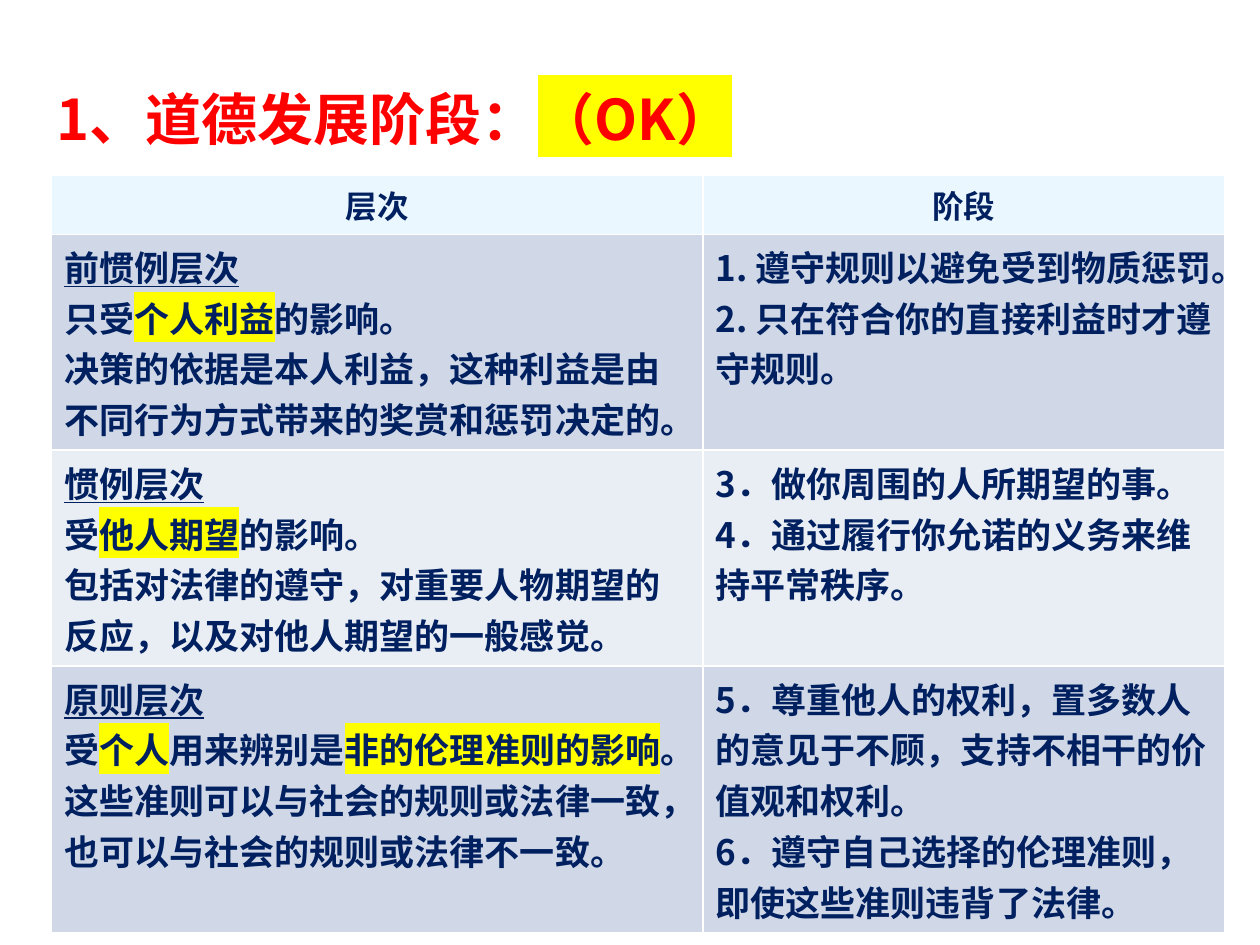
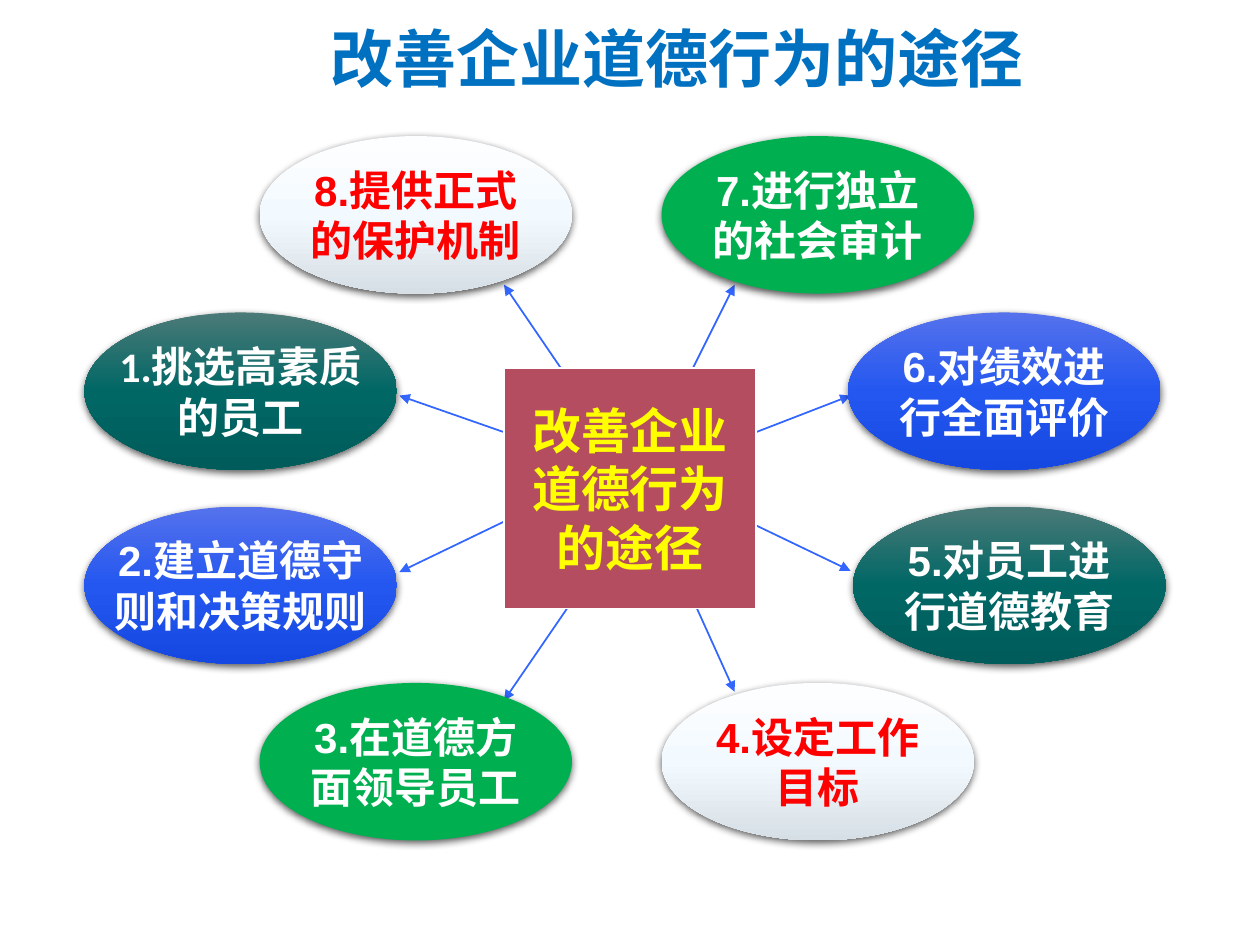
from lxml.etree import SubElement
from pptx import Presentation
from pptx.dml.color import RGBColor
from pptx.enum.shapes import MSO_CONNECTOR, MSO_SHAPE
from pptx.enum.text import MSO_ANCHOR, MSO_AUTO_SIZE, PP_ALIGN
from pptx.oxml.ns import qn
from pptx.util import Inches, Pt

# Shared style
CJK, LATIN, BODY = "Noto Sans CJK SC", "Arial", "Calibri"
RED, WHITE, YELLOW, NAVY = "FF0000", "FFFFFF", "FFFF00", "002060"
TITLE_BLUE, ARROW_BLUE, CENTRE_RED, GREEN = "0070C0", "3366FF", "B54D61", "00B050"
ICE = ("FDFEFF", "F3FAFF", "D6DFE5")
TEAL = ("4B7A78", "006765", "005C5A")
ROYAL = ("5572EC", "2457F0", "1548E0")
HEADER_FILL, BAND_FILLS = "EBF7FF", ("D0D8E8", "E9EDF4")
TITLE_ONLY = 5


def rgb(hex_colour):
    return RGBColor.from_string(hex_colour)


def grid(*units):
    """Grid of 100 columns by 75 rows, with square cells."""
    return [Inches(unit / 10) for unit in units]


class Deck:
    def __init__(self):
        self.deck = Presentation()
        self.deck.slide_width, self.deck.slide_height = grid(100, 75)
        self.slide = None

    def new_slide(self):
        self.slide = self.deck.slides.add_slide(self.deck.slide_layouts[TITLE_ONLY])

    def add_text(self, paragraph, text, size, colour, latin=CJK, east=CJK, marks=""):
        """Marks: u underlines the run, h highlights it."""
        run = paragraph.add_run()
        run.text = text
        font = run.font
        font.size, font.bold, font.name = Pt(size), True, latin
        font.color.rgb = rgb(colour)
        if "u" in marks:
            font.underline = True
        properties = run._r.get_or_add_rPr()
        east_font = SubElement(properties, qn("a:ea"), typeface=east)
        properties.find(qn("a:latin")).addnext(east_font)
        if "h" in marks:
            highlight = SubElement(properties, qn("a:highlight"))
            SubElement(highlight, qn("a:srgbClr"), val=YELLOW)
            properties.find(qn("a:solidFill")).addnext(highlight)

    def add_paragraphs(self, frame, paragraphs, size, colour, align=PP_ALIGN.LEFT, **fonts):
        """Each paragraph is a list of (text, marks) runs."""
        for number, runs in enumerate(paragraphs):
            paragraph = frame.add_paragraph() if number else frame.paragraphs[0]
            paragraph.alignment = align
            for text, marks in runs:
                self.add_text(paragraph, text, size, colour, marks=marks, **fonts)

    def title(self, box, runs, size, colour, align, margin, hanging):
        title = self.slide.shapes.title
        title.left, title.top, title.width, title.height = grid(*box)
        frame = title.text_frame
        frame.auto_size = MSO_AUTO_SIZE.NONE
        frame.word_wrap = True
        frame.vertical_anchor = MSO_ANCHOR.TOP
        self.add_paragraphs(frame, [runs], size, colour, align)
        paragraph = frame.paragraphs[0]
        paragraph.line_spacing = 0.9
        properties = paragraph._p.get_or_add_pPr()
        properties.set("marL", str(Inches(margin)))
        properties.set("indent", str(Inches(-hanging)))

    def table(self, box, columns, rows, headings, levels):
        table = self.slide.shapes.add_table(len(rows), len(columns), *grid(*box)).table
        for column, width in zip(table.columns, grid(*columns)):
            column.width = width
        for row, height in zip(table.rows, grid(*rows)):
            row.height = height
        for index, heading in enumerate(headings):
            cell = table.cell(0, index)
            self.fill(cell, HEADER_FILL)
            self.add_paragraphs(cell.text_frame, [[(heading, "")]], 18, NAVY,
                                PP_ALIGN.CENTER, latin=LATIN)
        for level_number, level in enumerate(levels):
            for index, paragraphs in enumerate(level):
                cell = table.cell(level_number + 1, index)
                self.fill(cell, BAND_FILLS[level_number % 2])
                self.add_paragraphs(cell.text_frame, paragraphs, 20, NAVY)

    def fill(self, item, colour):
        """A tuple of colours makes a gradient from top to bottom."""
        if isinstance(colour, str):
            item.fill.solid()
            item.fill.fore_color.rgb = rgb(colour)
            return
        item.fill.gradient()
        item.fill.gradient_angle = 270
        stops = next(item._element.iter(qn("a:gsLst")))
        stops.clear()
        for number, stop_colour in enumerate(colour):
            stop = SubElement(stops, qn("a:gs"), pos=str(number * 50000))
            SubElement(stop, qn("a:srgbClr"), val=stop_colour)

    def block(self, kind, box, lines, colour, size, text_colour, latin, outline=None):
        block = self.slide.shapes.add_shape(kind, *grid(*box))
        self.fill(block, colour)
        if outline:
            block.line.color.rgb = rgb(outline)
            block.line.width = Pt(0.75)
        else:
            block.line.fill.background()
        block.shadow.inherit = False
        frame = block.text_frame
        frame.word_wrap = False
        frame.vertical_anchor = MSO_ANCHOR.MIDDLE
        self.add_paragraphs(frame, [[(line, "")] for line in lines], size, text_colour,
                            PP_ALIGN.CENTER, latin=latin, east=BODY)
        return block

    def oval(self, *details):
        oval = self.block(MSO_SHAPE.OVAL, *details)
        effects = oval._element.spPr.find(qn("a:effectLst"))
        shadow = SubElement(effects, qn("a:outerShdw"), blurRad=str(Pt(4.5)),
                            dist=str(Pt(1.5)), dir="5400000", rotWithShape="0")
        shade = SubElement(shadow, qn("a:srgbClr"), val="000000")
        SubElement(shade, qn("a:alpha"), val="63000")

    def arrow(self, start, end):
        arrow = self.slide.shapes.add_connector(MSO_CONNECTOR.STRAIGHT, *grid(*start, *end))
        arrow.line.color.rgb = rgb(ARROW_BLUE)
        arrow.line.width = Pt(1)
        properties = arrow._element.spPr
        SubElement(properties.find(qn("a:ln")), qn("a:tailEnd"), type="triangle")
        SubElement(properties, qn("a:effectLst"))


def moral_stages(deck):
    deck.new_slide()
    deck.title((3.5, 6.8, 93.2, 7), [("1、道德发展阶段：", ""), ("（OK）", "h")],
               32, RED, PP_ALIGN.LEFT, 0.38, 0.38)
    levels = [
        ([[("前惯例层次", "u")],
          [("只受", ""), ("个人利益", "h"), ("的影响。", "")],
          [("决策的依据是本人利益，这种利益是由不同行为方式带来的奖赏和惩罚决定的。", "")]],
         [[("1. 遵守规则以避免受到物质惩罚。", "")],
          [("2. 只在符合你的直接利益时才遵守规则。", "")]]),
        ([[("惯例层次", "u")],
          [("受", ""), ("他人期望", "h"), ("的影响。", "")],
          [("包括对法律的遵守，对重要人物期望的反应，以及对他人期望的一般感觉。", "")]],
         [[("3．做你周围的人所期望的事。", "")],
          [("4．通过履行你允诺的义务来维持平常秩序。", "")]]),
        ([[("原则层次", "u")],
          [("受", ""), ("个人", "h"), ("用来辨别是", ""), ("非的伦理准则的影响", "h"), ("。", "")],
          [("这些准则可以与社会的规则或法律一致，也可以与社会的规则或法律不一致。", "")]],
         [[("5．尊重他人的权利，置多数人的意见于不顾，支持不相干的价值观和权利。", "")],
          [("6．遵守自己选择的伦理准则，即使这些准则违背了法律。", "")]]),
    ]
    deck.table((4.1, 13.9, 93.1, 53.9), (51.7, 41.4), (4.7, 15.2, 15.2, 18.8),
               ("层次", "阶段"), levels)


def improvement_ways(deck):
    deck.new_slide()
    deck.title((9.4, 1.7, 83.6, 7.7), [("改善企业道德行为的途径", "")],
               36, TITLE_BLUE, PP_ALIGN.CENTER, 0.81, 0.31)

    # Ways around the centre: place, lines, fill, text colour, font, arrow start and end
    ways = [
        ((6.7, 24.8), ("1.挑选高素质", "的员工"), TEAL, WHITE, BODY, (40, 34.3), (31.7, 31.4)),
        ((6.7, 40.2), ("2.建立道德守", "则和决策规则"), ROYAL, WHITE, LATIN, (40, 41.4), (31.7, 45.4)),
        ((20.6, 54.2), ("3.在道德方", "面领导员工"), GREEN, WHITE, LATIN, (45, 48.3), (40, 55.6)),
        ((52.5, 54.2), ("4.设定工作", "目标"), ICE, RED, LATIN, (55, 47.6), (58.3, 54.9)),
        ((67.7, 40.2), ("5.对员工进", "行道德教育"), TEAL, WHITE, LATIN, (60, 41.7), (67.5, 45.3)),
        ((67.3, 24.8), ("6.对绩效进", "行全面评价"), ROYAL, WHITE, LATIN, (60, 34.3), (67.5, 31.4)),
        ((52.5, 10.8), ("7.进行独立", "的社会审计"), GREEN, WHITE, LATIN, (55, 29.2), (58.3, 22.6)),
        ((20.6, 10.8), ("8.提供正式", "的保护机制"), ICE, RED, LATIN, (44.5, 29.2), (40, 22.6)),
    ]
    for place, lines, colour, text_colour, latin, start, end in ways:
        deck.arrow(start, end)
        deck.oval((*place, 24.8, 12.5), lines, colour, 24, text_colour, latin)

    # Centre
    deck.block(MSO_SHAPE.RECTANGLE, (40, 29.2, 20, 19.1), ("改善企业", "道德行为", "的途径"),
               CENTRE_RED, 28, YELLOW, BODY, WHITE)


def main():
    deck = Deck()
    moral_stages(deck)
    improvement_ways(deck)
    deck.deck.save("out.pptx")


if __name__ == "__main__":
    main()
